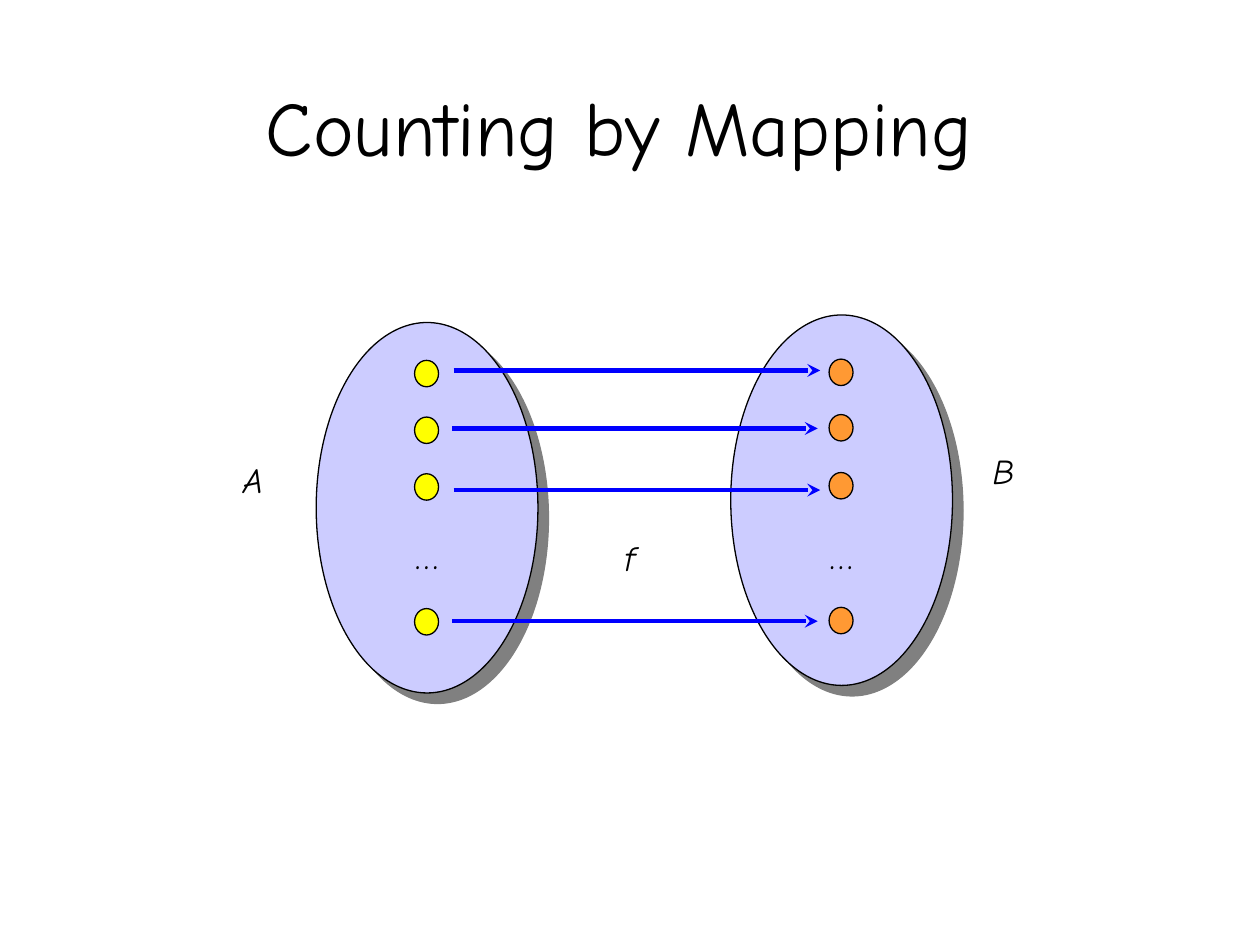
from dataclasses import dataclass

from lxml import etree
from pptx import Presentation
from pptx import util as u
from pptx.dml.color import RGBColor
from pptx.enum import shapes, text
from pptx.oxml import parse_xml
from pptx.oxml.ns import nsdecls, qn


@dataclass(frozen=True)
class Theme:
    font: str = "Comic Neue"
    title_size: float = 44
    label_size: float = 20
    outline: float = 0.75
    arrow_width: float = 2.5
    ink: str = "000000"
    set_fill: str = "CCCCFF"
    shadow: str = "808080"
    domain_dot: str = "FFFF00"
    range_dot: str = "FF9933"
    arrow: str = "0000FF"


class MappingSlide:
    """Draws the parts of a mapping diagram on one slide in one theme."""

    def __init__(self, page, theme):
        self.page = page
        self.theme = theme

    def label(self, words, left, top, width, height=0.43, size=None,
              italic=False, align=text.PP_ALIGN.LEFT, wrap=False):
        box = self.page.shapes.add_textbox(
            u.Inches(left), u.Inches(top), u.Inches(width), u.Inches(height))
        frame = box.text_frame
        frame.word_wrap = wrap
        frame.vertical_anchor = text.MSO_ANCHOR.MIDDLE if wrap else text.MSO_ANCHOR.TOP
        if not wrap:
            frame.auto_size = text.MSO_AUTO_SIZE.SHAPE_TO_FIT_TEXT
        para = frame.paragraphs[0]
        para.alignment = align
        span = para.add_run()
        span.text = words
        span.font.name = self.theme.font
        span.font.size = u.Pt(size or self.theme.label_size)
        span.font.italic = italic
        span.font.color.rgb = RGBColor.from_string(self.theme.ink)

    def ellipse(self, left, top, width, height, fill):
        oval = self.page.shapes.add_shape(
            shapes.MSO_SHAPE.OVAL, u.Inches(left), u.Inches(top),
            u.Inches(width), u.Inches(height))
        oval.shadow.inherit = False
        oval.fill.solid()
        oval.fill.fore_color.rgb = RGBColor.from_string(fill)
        oval.line.color.rgb = RGBColor.from_string(self.theme.ink)
        oval.line.width = u.Pt(self.theme.outline)
        return oval

    def set_oval(self, left, top):
        oval = self.ellipse(left, top, 1.76, 2.94, self.theme.set_fill)
        effects = oval._element.spPr.find(qn("a:effectLst"))
        effects.append(parse_xml(
            f'<a:outerShdw {nsdecls("a")} dist="{u.Pt(8.5)}" dir="2700000" '
            f'algn="ctr" rotWithShape="0"><a:srgbClr val="{self.theme.shadow}"/>'
            '</a:outerShdw>'))

    def members(self, left, tops, fill):
        for top in tops:
            self.ellipse(left, top, 0.19, 0.21, fill)
        self.label("…", left - 0.1, 4.19, 0.39, align=text.PP_ALIGN.CENTER)

    def arrow(self, start, end, y):
        line = self.page.shapes.add_connector(
            shapes.MSO_CONNECTOR.STRAIGHT, u.Inches(start), u.Inches(y),
            u.Inches(end), u.Inches(y))
        line.line.color.rgb = RGBColor.from_string(self.theme.arrow)
        line.line.width = u.Pt(self.theme.arrow_width)
        etree.SubElement(line.line._get_or_add_ln(), qn("a:tailEnd"), type="stealth")
        etree.SubElement(line._element.spPr, qn("a:effectLst"))


def main():
    deck = Presentation()
    deck.slide_width, deck.slide_height = u.Inches(10), u.Inches(7.5)
    theme = Theme()
    slide = MappingSlide(deck.slides.add_slide(deck.slide_layouts[6]), theme)

    slide.label("Counting by Mapping", 0.25, 0.5, 9.33, 1, size=theme.title_size,
                align=text.PP_ALIGN.CENTER, wrap=True)
    slide.set_oval(2.51, 2.56)
    slide.set_oval(5.8, 2.5)
    slide.label("A", 1.83, 3.59, 0.4, italic=True)
    slide.label("B", 7.78, 3.52, 0.38, italic=True)
    slide.members(3.29, (2.86, 3.31, 3.76, 4.83), theme.domain_dot)
    slide.members(6.58, (2.85, 3.29, 3.75, 4.82), theme.range_dot)
    for start, end, y in ((3.6, 6.51, 2.94), (3.59, 6.49, 3.4),
                          (3.6, 6.51, 3.89), (3.59, 6.49, 4.93)):
        slide.arrow(start, end, y)
    slide.label("f", 4.86, 4.21, 0.34, italic=True)

    deck.save("out.pptx")


if __name__ == "__main__":
    main()
